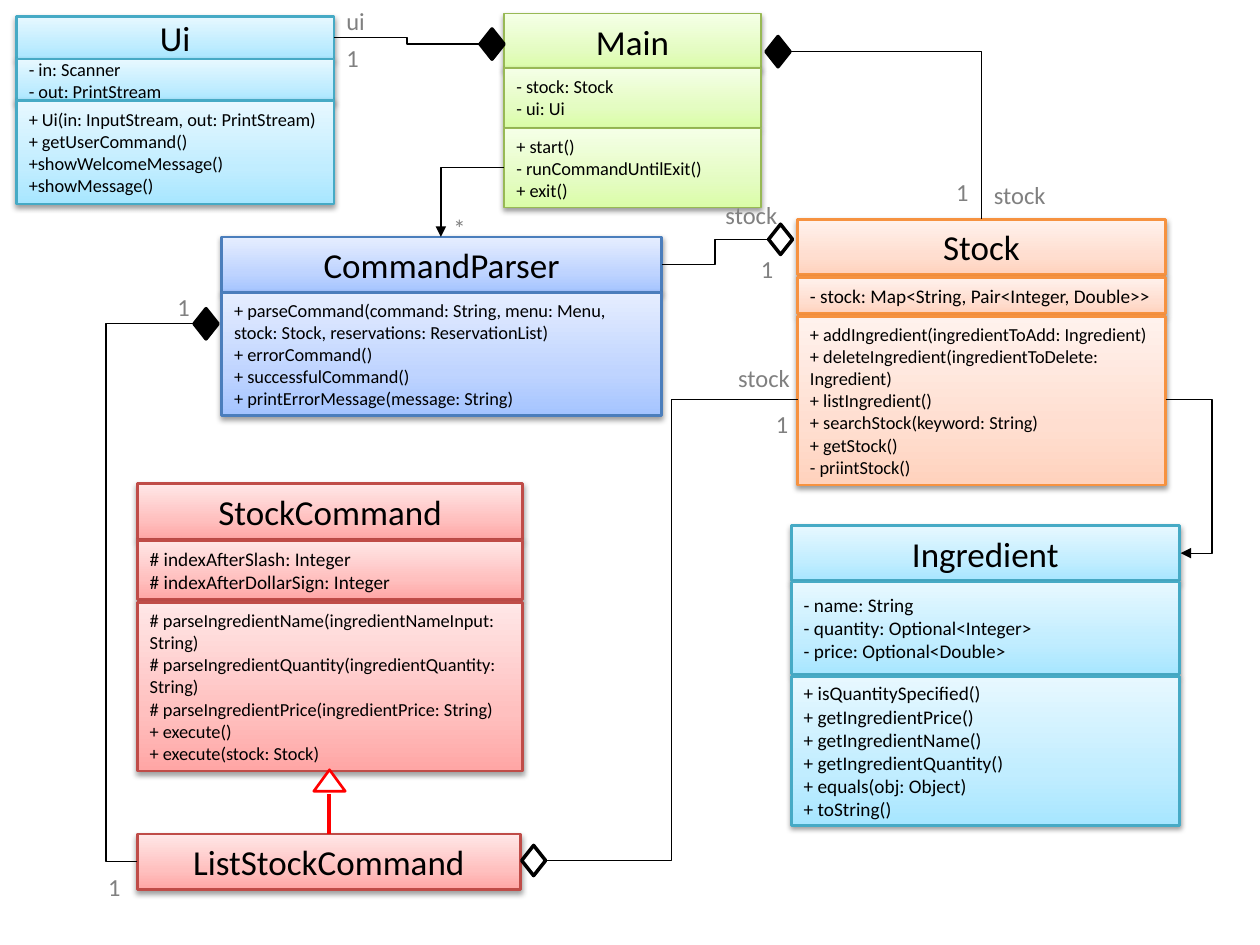
from dataclasses import dataclass
import copy

import lxml.etree
import pptx
import pptx.dml.color
import pptx.enum.shapes
import pptx.enum.text
import pptx.oxml.ns
import pptx.util

Inches = pptx.util.Inches
qn = pptx.oxml.ns.qn
Shape = pptx.enum.shapes.MSO_SHAPE
Connector = pptx.enum.shapes.MSO_CONNECTOR
Align = pptx.enum.text.PP_ALIGN


@dataclass(frozen=True)
class Palette:
    border: str
    border_width: float
    stops: tuple
    grow: bool = True


@dataclass(frozen=True)
class Theme:
    font: str = "Calibri"
    ink: str = "000000"
    paper: str = "FFFFFF"
    label: str = "808080"
    inherit: str = "FF0000"
    name_size: float = 20
    label_size: float = 14
    large: float = 11
    small: float = 10.5
    green: Palette = Palette("98B955", 0.75, ("DAFDA7", "E4FCC2", "F5FFE7"))
    orange: Palette = Palette("F69240", 1.5, ("FFD2BD", "FFDED0", "FFF2ED"))
    blue: Palette = Palette("4B7EBC", 1.5, ("A4C4FF", "BFD4FF", "E6EEFF"))
    red: Palette = Palette("BF4C48", 1.5, ("FFA6A5", "FFC0BF", "FFE7E7"))
    aqua: Palette = Palette("46AAC5", 1.5, ("A7E6FF", "C1EDFF", "E7F8FF"), False)


def rgb(value):
    return pptx.dml.color.RGBColor.from_string(value)


def write_text(shape, text, *, font, size, color, align=Align.LEFT, grow=True):
    frame = shape.text_frame
    frame.word_wrap = True
    sizing = pptx.enum.text.MSO_AUTO_SIZE
    frame.auto_size = sizing.SHAPE_TO_FIT_TEXT if grow else sizing.NONE
    frame.text = text
    for paragraph in frame.paragraphs:
        paragraph.alignment = align
        paragraph.font.name = font
        paragraph.font.size = pptx.util.Pt(size)
        paragraph.font.color.rgb = rgb(color)


class ClassDiagram:
    def __init__(self, slide, theme):
        self.slide = slide
        self.theme = theme

    def outline(self, line, color, width):
        line.color.rgb = rgb(color)
        line.width = pptx.util.Pt(width)

    def gradient(self, shape, colors):
        shape.fill.gradient()
        shape.fill.gradient_angle = 90
        stop_list = shape.element.spPr.find(qn("a:gradFill")).find(qn("a:gsLst"))
        stop_list.append(copy.deepcopy(stop_list[0]))
        for stop, color, position in zip(shape.fill.gradient_stops, colors, (0, 0.35, 1)):
            stop.color.rgb = rgb(color)
            stop.position = position

    def drop_shadow(self, shape):
        effects = shape.element.spPr.find(qn("a:effectLst"))
        shadow = lxml.etree.SubElement(effects, qn("a:outerShdw"), blurRad="40000",
                                       dist="20000", dir="5400000", rotWithShape="0")
        color = lxml.etree.SubElement(shadow, qn("a:srgbClr"), val=self.theme.ink)
        lxml.etree.SubElement(color, qn("a:alpha"), val="38000")

    def shape(self, kind, left, top, width, height):
        shape = self.slide.shapes.add_shape(
            kind, Inches(left), Inches(top), Inches(width), Inches(height))
        shape.shadow.inherit = False
        return shape

    def compartment(self, left, top, width, height, palette, text, size, align=Align.LEFT):
        shape = self.shape(Shape.RECTANGLE, left, top, width, height)
        self.gradient(shape, palette.stops)
        self.outline(shape.line, palette.border, palette.border_width)
        self.drop_shadow(shape)
        write_text(shape, text, font=self.theme.font, size=size, color=self.theme.ink,
                   align=align, grow=palette.grow)
        return shape

    def uml_class(self, name, left, top, width, palette, *members, name_height=0.44):
        title = self.compartment(left, top, width, name_height, palette, name,
                                 self.theme.name_size, Align.CENTER)
        for member_top, height, size, lines in members:
            self.compartment(left, member_top, width, height, palette,
                             "\n".join(lines), size)
        return title

    def marker(self, kind, left, top, width, height, fill, border, border_width):
        shape = self.shape(kind, left, top, width, height)
        shape.fill.solid()
        shape.fill.fore_color.rgb = rgb(fill)
        self.outline(shape.line, border, border_width)

    def diamond(self, left, top, fill):
        self.marker(Shape.DIAMOND, left, top, 0.19, 0.24, fill, self.theme.ink, 2)

    def connector(self, kind, start, end, color, width):
        connector = self.slide.shapes.add_connector(
            kind, *(Inches(value) for value in (*start, *end)))
        self.outline(connector.line, color, width)
        lxml.etree.SubElement(connector.element.spPr, qn("a:effectLst"))
        return connector

    def elbow(self, start, end, bend_x=None, corner=False, arrow=False):
        connector = self.connector(Connector.ELBOW, start, end, self.theme.ink, 0.75)
        properties = connector.element.spPr
        geometry = properties.find(qn("a:prstGeom"))
        if corner:
            geometry.set("prst", "bentConnector2")
        if bend_x is not None:
            ratio = (bend_x - start[0]) / (end[0] - start[0])
            lxml.etree.SubElement(geometry.find(qn("a:avLst")), qn("a:gd"),
                                  name="adj1", fmla=f"val {round(ratio * 100000)}")
        if arrow:
            lxml.etree.SubElement(properties.find(qn("a:ln")), qn("a:tailEnd"),
                                  type="triangle")

    def label(self, text, left, top):
        box = self.slide.shapes.add_textbox(
            Inches(left), Inches(top), Inches(0.67), Inches(0.34))
        write_text(box, text, font=self.theme.font, size=self.theme.label_size,
                   color=self.theme.label)


def main():
    presentation = pptx.Presentation()
    presentation.slide_width = Inches(10)
    presentation.slide_height = Inches(7.5)
    theme = Theme()
    diagram = ClassDiagram(
        presentation.slides.add_slide(presentation.slide_layouts[6]), theme)

    diagram.uml_class(
        "Main", 4, 0.11, 2.04, theme.green,
        (0.54, 0.47, theme.small, ["- stock: Stock", "- ui: Ui"]),
        (1.02, 0.63, theme.small, ["+ start()", "- runCommandUntilExit()", "+ exit()"]))
    diagram.uml_class(
        "Stock", 6.33, 1.74, 2.92, theme.orange,
        (2.2, 0.29, theme.large, ["- stock: Map<String, Pair<Integer, Double>>"]),
        (2.51, 1.34, theme.small, [
            "+ addIngredient(ingredientToAdd: Ingredient)",
            "+ deleteIngredient(ingredientToDelete: Ingredient)",
            "+ listIngredient()", "+ searchStock(keyword: String)",
            "+ getStock()", "- priintStock()"]))
    diagram.uml_class(
        "CommandParser", 1.76, 1.88, 3.49, theme.blue,
        (2.32, 0.98, theme.small, [
            "+ parseCommand(command: String, menu: Menu, stock: Stock, "
            "reservations: ReservationList)",
            "+ errorCommand()", "+ successfulCommand()",
            "+ printErrorMessage(message: String)"]))
    diagram.uml_class(
        "StockCommand", 1.09, 3.84, 3.06, theme.red,
        (4.29, 0.47, theme.large, [
            "# indexAfterSlash: Integer", "# indexAfterDollarSign: Integer"]),
        (4.78, 1.34, theme.small, [
            "# parseIngredientName(ingredientNameInput: String)",
            "# parseIngredientQuantity(ingredientQuantity: String)",
            "# parseIngredientPrice(ingredientPrice: String)",
            "+ execute()", "+ execute(stock: Stock)"]))
    list_command = diagram.uml_class("ListStockCommand", 1.09, 6.62, 3.04, theme.red)
    diagram.uml_class(
        "Ingredient", 6.28, 4.17, 3.08, theme.aqua,
        (4.62, 0.73, theme.large, [
            "- name: String", "- quantity: Optional<Integer>",
            "- price: Optional<Double>"]),
        (5.37, 1.18, theme.large, [
            "+ isQuantitySpecified()", "+ getIngredientPrice()",
            "+ getIngredientName()", "+ getIngredientQuantity()",
            "+ equals(obj: Object)", "+ toString()"]))
    diagram.uml_class(
        "Ui", 0.13, 0.13, 2.52, theme.aqua,
        (0.47, 0.34, theme.small, ["- in: Scanner", "- out: PrintStream"]),
        (0.8, 0.82, theme.small, [
            "+ Ui(in: InputStream, out: PrintStream)", "+ getUserCommand()",
            "+showWelcomeMessage()", "+showMessage()"]),
        name_height=0.34)

    diagram.marker(Shape.ISOSCELES_TRIANGLE, 2.49, 6.11, 0.25, 0.17,
                   theme.paper, theme.inherit, 1.5)
    inheritance = diagram.connector(
        Connector.STRAIGHT, (2.61, 6.3), (2.61, 6.62), theme.inherit, 2.25)
    inheritance.end_connect(list_command, 0)

    diagram.elbow((2.65, 0.3), (3.81, 0.35))
    diagram.elbow((6.27, 0.41), (7.79, 1.74), corner=True)
    diagram.elbow((4, 1.33), (3.5, 1.88), corner=True, arrow=True)
    diagram.elbow((5.25, 2.1), (6.1, 1.9))
    diagram.elbow((1.09, 6.84), (1.54, 2.57), bend_x=0.84)
    diagram.elbow((4.33, 6.83), (6.33, 3.17))
    diagram.elbow((9.25, 3.17), (9.37, 4.39), bend_x=9.62, arrow=True)

    for left, top in ((3.81, 0.23), (6.08, 0.29), (1.54, 2.45)):
        diagram.diamond(left, top, theme.ink)
    for left, top in ((6.1, 1.78), (4.14, 6.71)):
        diagram.diamond(left, top, theme.paper)

    for text, left, top in (
            ("ui", 2.65, 0), ("1", 2.65, 0.29), ("1", 7.49, 1.36),
            ("stock", 7.79, 1.38), ("*", 3.5, 1.64), ("stock", 5.66, 1.54),
            ("1", 5.94, 1.97), ("1", 1.31, 2.27), ("stock", 5.76, 2.83),
            ("1", 6.06, 3.2), ("1", 0.76, 6.87)):
        diagram.label(text, left, top)

    presentation.save("out.pptx")


if __name__ == "__main__":
    main()
